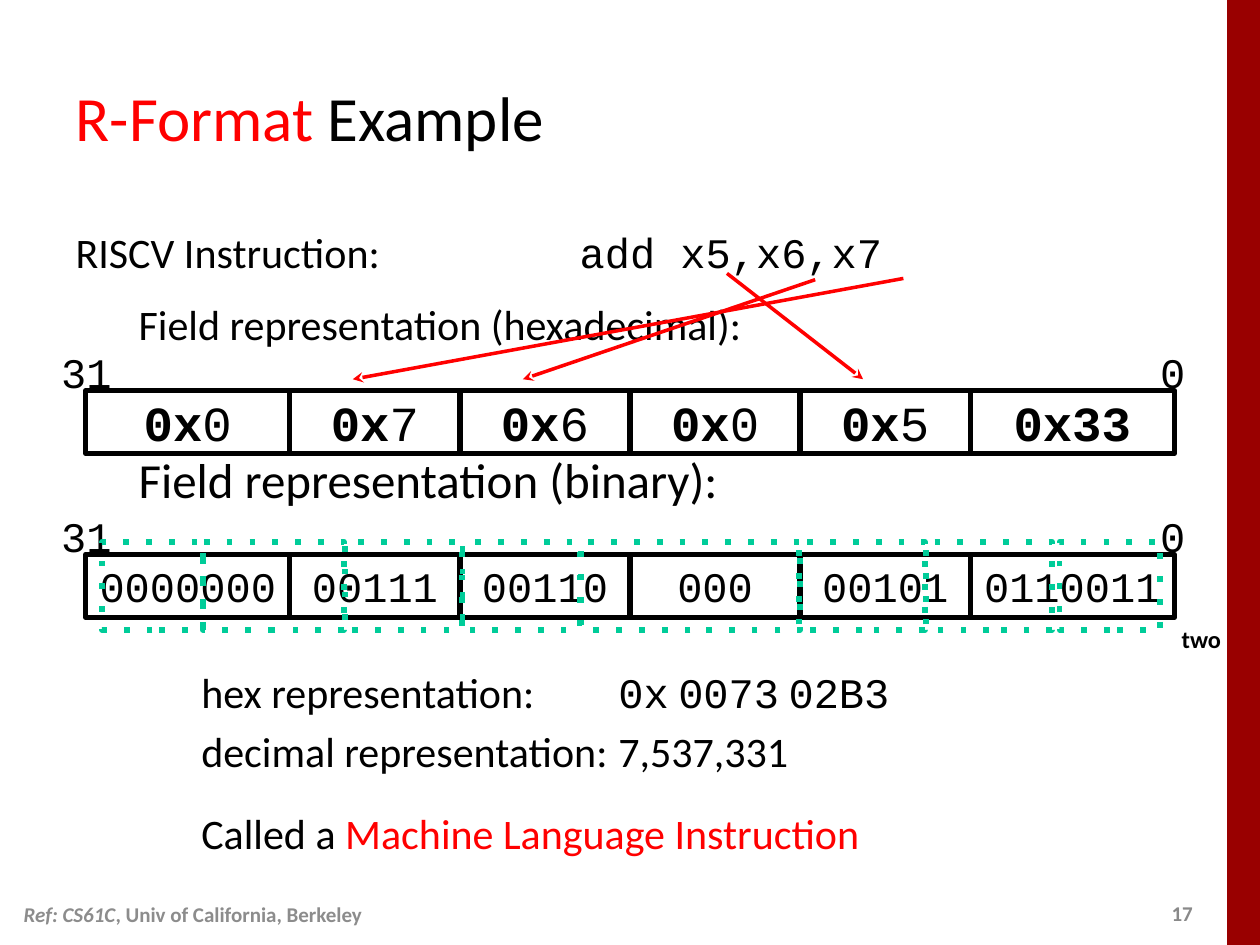
from dataclasses import dataclass
from itertools import accumulate

from lxml import etree
from pptx import Presentation
from pptx.dml.color import RGBColor
from pptx.enum.dml import MSO_LINE
from pptx.enum.shapes import MSO_CONNECTOR, MSO_SHAPE
from pptx.enum.text import MSO_ANCHOR, MSO_AUTO_SIZE, PP_ALIGN
from pptx.oxml.ns import qn
from pptx.util import Emu, Inches, Pt

LEFT, CENTER = PP_ALIGN.LEFT, PP_ALIGN.CENTER
TOP, MIDDLE = MSO_ANCHOR.TOP, MSO_ANCHOR.MIDDLE
RECT, STRAIGHT = MSO_SHAPE.RECTANGLE, MSO_CONNECTOR.STRAIGHT
DOTS = MSO_LINE.ROUND_DOT
SANS, MONO = "Calibri", "Courier New"
BLACK, RED, GREEN, GREY = "000000", "FF0000", "00CC99", "8C8C8C"

prs = Presentation()
prs.slide_width, prs.slide_height = Inches(10), Inches(7.5)
COL, ROW = prs.slide_width / 100, prs.slide_height / 75


@dataclass
class Field:
    width: float
    hex_digits: str
    hex_bold: bool
    bits: str


@dataclass
class Nibble:
    col: float
    width: float


@dataclass
class Arrow:
    start: tuple[float, float]
    end: tuple[float, float]


FIELDS = [
    Field(16.2, "0", False, "0000000"),
    Field(13.5, "7", False, "00111"),
    Field(13.5, "6", False, "00110"),
    Field(13.5, "0", False, "000"),
    Field(13.5, "5", False, "00101"),
    Field(16.2, "33", True, "0110011"),
]
NIBBLES = [
    Nibble(8.1, 8), Nibble(16.1, 11.2), Nibble(27.4, 9.3), Nibble(36.7, 9.3),
    Nibble(46.1, 17.4), Nibble(63.4, 10), Nibble(73.5, 10), Nibble(84.1, 8),
]
ARROWS = [
    Arrow((57.7, 21.7), (68.5, 30.1)),
    Arrow((71.7, 22.1), (28, 30.1)),
    Arrow((64.7, 22.2), (41.5, 30.1)),
]
FIELD_LEFT = 6.8


def color(value: str) -> RGBColor:
    return RGBColor.from_string(value)


def box(col: float, row: float, cols: float, rows: float) -> list[Emu]:
    return [Emu(round(n)) for n in (col * COL, row * ROW, cols * COL, rows * ROW)]


def place(sp, *grid: float) -> None:
    sp.left, sp.top, sp.width, sp.height = box(*grid)


def frame(sp, anchor=TOP, inset=(1, 0.5), wrap=True):
    tf = sp.text_frame
    tf.auto_size, tf.word_wrap, tf.vertical_anchor = MSO_AUTO_SIZE.NONE, wrap, anchor
    tf.margin_left, tf.margin_top, tf.margin_right, tf.margin_bottom = box(*inset, *inset)
    return tf


def paragraph(tf, align=LEFT, before: float = 0, level: int = 0):
    p = tf.paragraphs[0]
    if p.runs:
        p = tf.add_paragraph()
    p.alignment, p.level = align, level
    p.space_before = Pt(before)
    pPr = p._p.get_or_add_pPr()
    pPr.set("marL", str(Inches(0.81 * level)))
    pPr.set("indent", str(Inches(-0.31 * level)))
    pPr.set("defTabSz", str(Inches(1)))
    etree.SubElement(pPr, qn("a:buNone"))
    return p


def write(p, text: str, size: float = 24, font: str = SANS, fill: str = BLACK,
          bold: bool = False, italic: bool = False, baseline: int = 0) -> None:
    r = p.add_run()
    r.text = text
    r.font.size, r.font.name = Pt(size), font
    r.font.bold, r.font.italic = bold, italic
    r.font.color.rgb = color(fill)
    if baseline:
        r.font._element.set("baseline", str(baseline))


def rect(s, *grid: float, line: str = "", weight: float = 3, fill: str = ""):
    sp = s.shapes.add_shape(RECT, *box(*grid))
    sp.shadow.inherit = False
    if fill:
        sp.fill.solid()
        sp.fill.fore_color.rgb = color(fill)
    else:
        sp.fill.background()
    if line:
        sp.line.color.rgb, sp.line.width = color(line), Pt(weight)
    else:
        sp.line.fill.background()
    return sp


def label(s, text: str, *grid: float, align=LEFT, anchor=TOP, wrap=False, **fmt):
    sp = s.shapes.add_textbox(*box(*grid))
    p = paragraph(frame(sp, anchor, wrap=wrap), align)
    write(p, text, **fmt)
    return p


def arrow(s, a: Arrow) -> None:
    cn = s.shapes.add_connector(STRAIGHT, *box(*a.start, *a.end))
    cn.line.color.rgb, cn.line.width = color(RED), Pt(2)
    etree.SubElement(cn.line._get_or_add_ln(), qn("a:tailEnd"), type="stealth")
    etree.SubElement(cn._element.spPr, qn("a:effectLst"))


def field_row(s, row: float, as_hex: bool) -> None:
    lefts = accumulate((f.width for f in FIELDS), initial=FIELD_LEFT)
    for f, left in zip(FIELDS, lefts):
        sp = rect(s, left, row, f.width, 5, line=BLACK)
        p = paragraph(frame(sp, MIDDLE, (0, 0.5)), CENTER)
        if as_hex:
            write(p, "0x", size=28, font=MONO, bold=True)
            write(p, f.hex_digits, size=28, font=MONO, bold=f.hex_bold)
        else:
            write(p, f.bits, font=MONO)
    label(s, "31", 3.8, row - 4, 6.1, 5, align=CENTER, font=MONO)
    label(s, "0", 91.1, row - 4, 4, 5, font=MONO)


s = prs.slides.add_slide(prs.slide_layouts[1])
title, body = s.shapes.title, s.placeholders[1]

place(title, 5, 3, 90, 12.5)
p = paragraph(frame(title, MIDDLE))
write(p, "R-Format", size=36, fill=RED)
write(p, " Example", size=36)

place(body, 5, 17.5, 90, 34.4)
tf = frame(body)
p = paragraph(tf)
write(p, "RISCV Instruction:\t\t")
write(p, "add x5,x6,x7", font=MONO)
write(paragraph(tf, before=12, level=1), "Field representation (hexadecimal):")
write(paragraph(tf, before=57.5, level=1), "Field representation (binary):", size=28)

rect(s, 97.4, 0, 2.6, 75, fill="990000")
for a in ARROWS:
    arrow(s, a)
label(s, "two", 92.8, 46.8, 5.6, 3.7, bold=True, baseline=-25000)
field_row(s, 31, as_hex=True)
field_row(s, 44, as_hex=False)
for n in NIBBLES:
    sp = rect(s, n.col, 43, n.width, 7, line=GREEN, weight=3.25)
    sp.line.dash_style = DOTS
    sp.line._get_or_add_ln().find(qn("a:prstDash")).set("val", "dot")

sp = s.shapes.add_textbox(*box(10, 51.9, 77, 17.6))
tf = frame(sp, inset=(1, 1))
p = paragraph(tf, level=1)
write(p, "hex representation:\t")
for text, font in (("0x", MONO), (" ", SANS), ("0073", MONO), (" ", SANS), ("02B3", MONO)):
    write(p, text, font=font)
write(paragraph(tf, before=4.8, level=1), "decimal representation:\t7,537,331")
p = paragraph(tf, before=18, level=1)
write(p, "Called a ")
write(p, "Machine Language Instruction", fill=RED)

p = label(s, "Ref: CS61C", 0.9, 70.6, 57.4, 3.9, anchor=MIDDLE, wrap=True,
          size=12, fill=GREY, bold=True, italic=True)
write(p, ", Univ of California, Berkeley", size=12, fill=GREY, bold=True)
label(s, "17", 92, 71, 4, 3, anchor=MIDDLE, size=12, fill="898989", bold=True)

prs.save("out.pptx")
